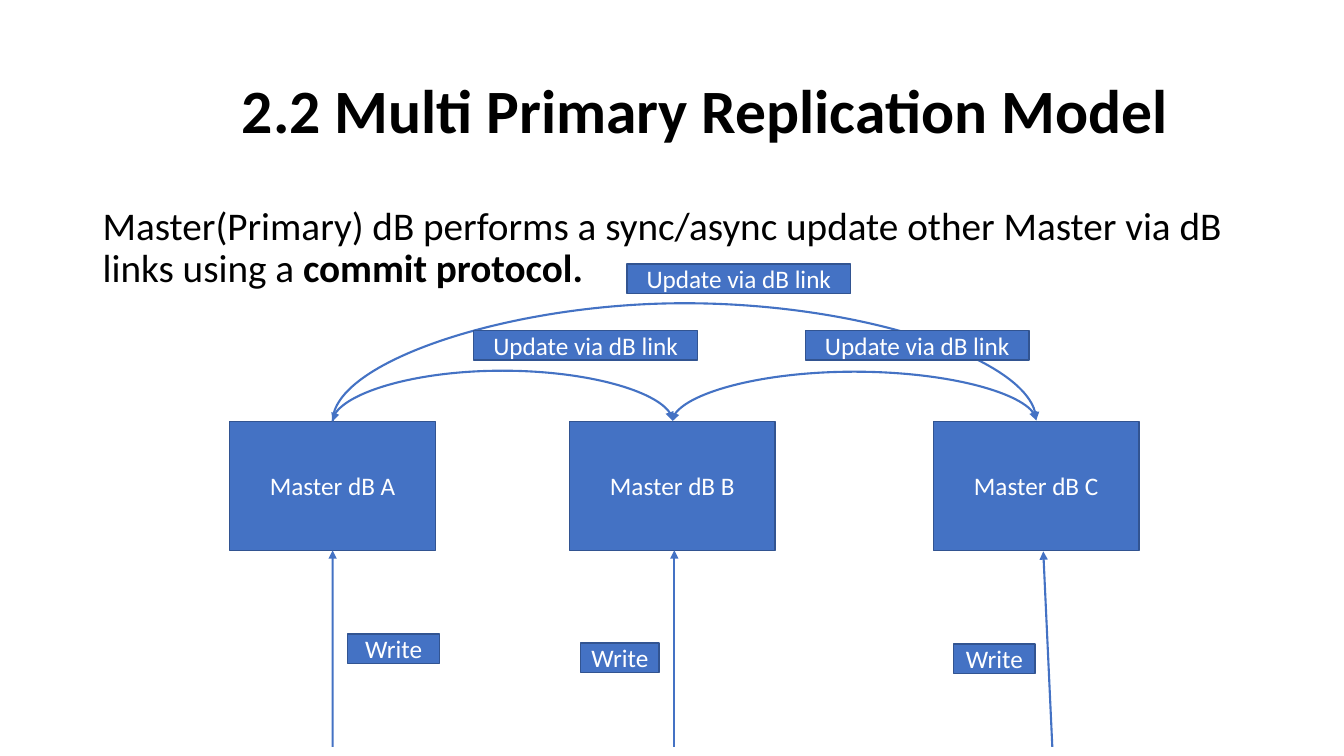
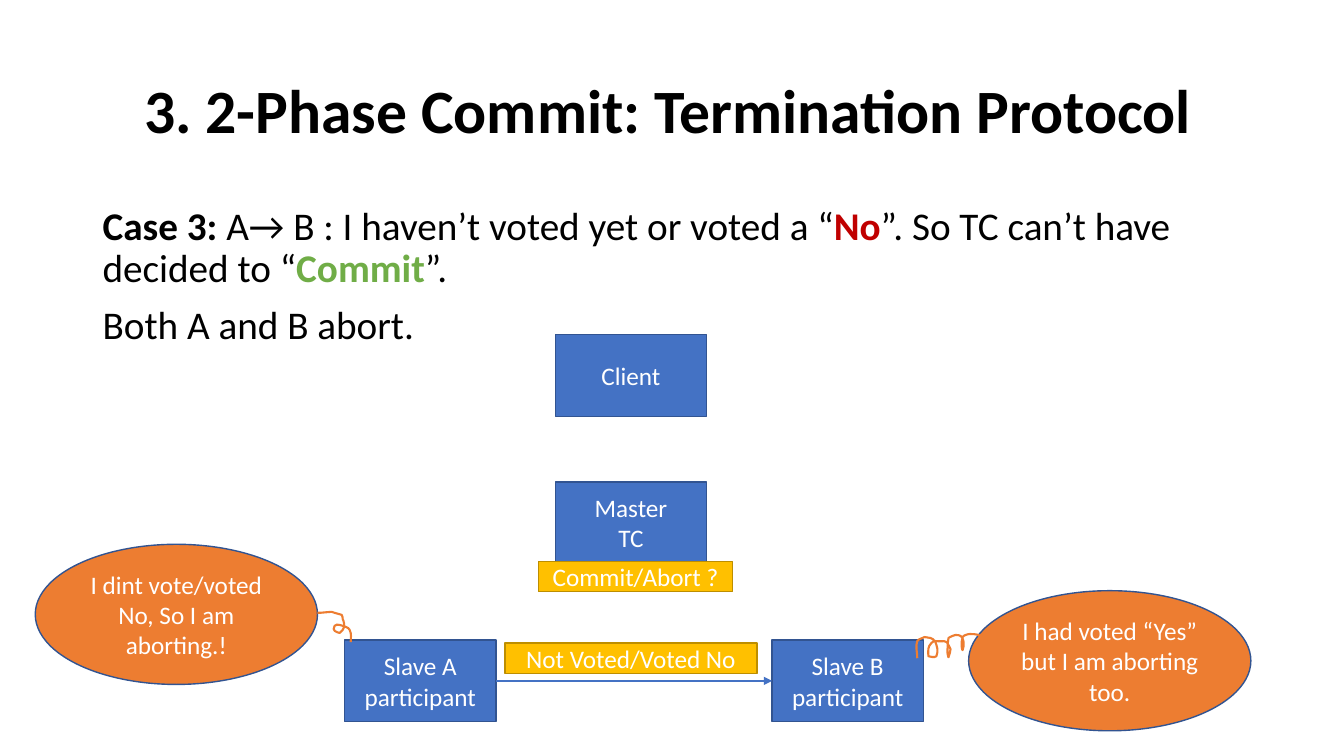
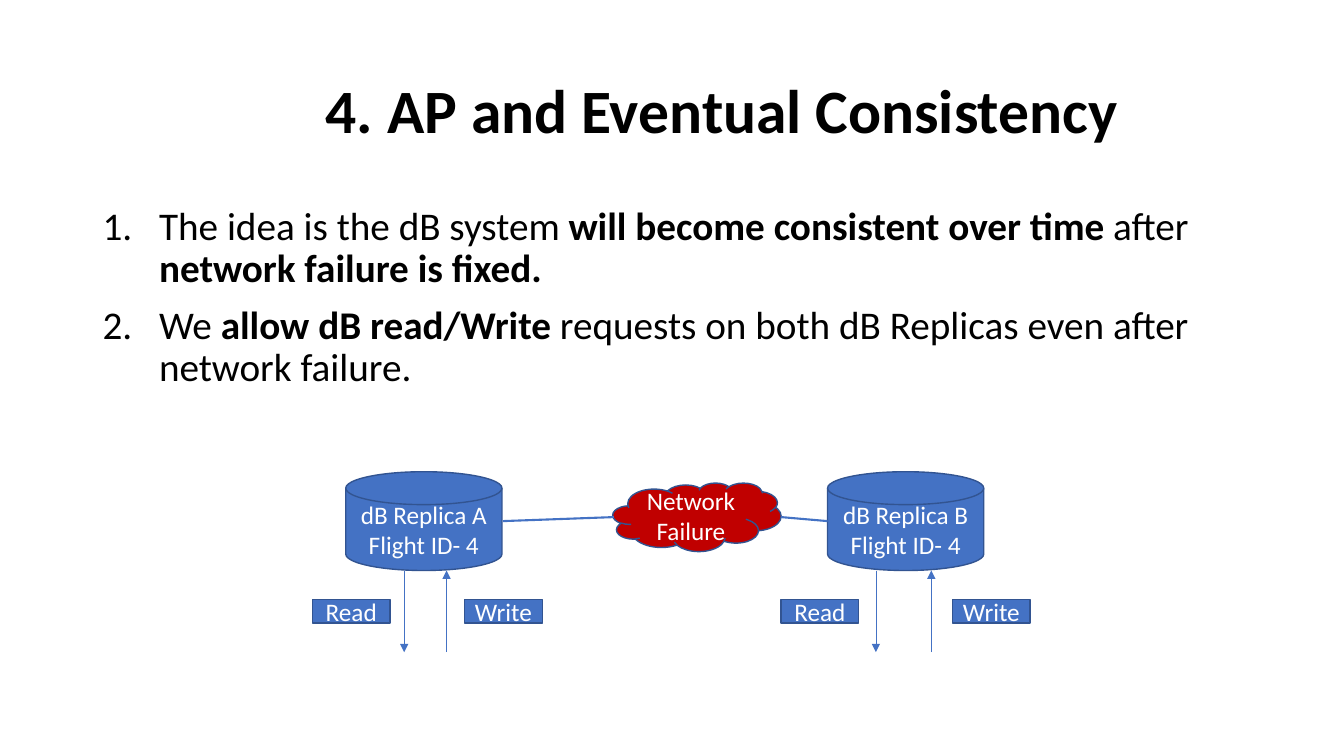
from dataclasses import dataclass
from typing import Optional, Sequence

from lxml import etree
from pptx import Presentation
from pptx.dml.color import RGBColor
from pptx.enum.shapes import MSO_CONNECTOR, MSO_SHAPE
from pptx.enum.text import MSO_ANCHOR, MSO_AUTO_SIZE, PP_ALIGN
from pptx.oxml.ns import qn
from pptx.shapes.autoshape import Shape
from pptx.shapes.connector import Connector
from pptx.slide import Slide
from pptx.text.text import TextFrame
from pptx.util import Inches, Pt

BLACK = RGBColor(0x00, 0x00, 0x00)
WHITE = RGBColor(0xFF, 0xFF, 0xFF)
BLUE = RGBColor(0x44, 0x72, 0xC4)
DARK_BLUE = RGBColor(0x32, 0x54, 0x91)
GOLD = RGBColor(0xFF, 0xC0, 0x00)
DARK_GOLD = RGBColor(0xBD, 0x8E, 0x00)
ORANGE = RGBColor(0xED, 0x7D, 0x31)
RED = RGBColor(0xC0, 0x00, 0x00)
GREEN = RGBColor(0x70, 0xAD, 0x47)

FONT = "Calibri"
LEFT, CENTER = PP_ALIGN.LEFT, PP_ALIGN.CENTER
MIDDLE, TOP = MSO_ANCHOR.MIDDLE, MSO_ANCHOR.TOP
RECT, ELLIPSE, CLOUD = MSO_SHAPE.RECTANGLE, MSO_SHAPE.OVAL, MSO_SHAPE.CLOUD
DISK = MSO_SHAPE.FLOWCHART_MAGNETIC_DISK
STRAIGHT, CURVE = MSO_CONNECTOR.STRAIGHT, MSO_CONNECTOR.CURVE
TOP_SIDE, LEFT_SIDE, BOTTOM_SIDE, RIGHT_SIDE = range(4)
TITLE_ONLY = 5
CURVE_DEPTH = 0.01


@dataclass(frozen=True)
class Run:
    text: str
    bold: bool = False
    color: Optional[RGBColor] = None


@dataclass(frozen=True)
class Box:
    text: str
    left: float
    top: float
    width: float
    height: float
    fill: RGBColor = BLUE
    outline: RGBColor = DARK_BLUE
    kind: MSO_SHAPE = RECT


@dataclass(frozen=True)
class Link:
    start: tuple[float, float]
    end: tuple[float, float]
    weight: float = 1.5
    head: bool = False
    tail: bool = True


Paragraphs = Sequence[Sequence[Run]]
Points = Sequence[tuple[float, float]]

# Each curl is a start point followed by two handles and an end per segment.
CURL_A: Points = (
    (3.48, 6.37),
    (3.48, 6.33), (3.49, 6.29), (3.47, 6.25),
    (3.46, 6.22), (3.40, 6.21), (3.37, 6.20),
    (3.35, 6.20), (3.33, 6.19), (3.32, 6.21),
    (3.29, 6.26), (3.34, 6.27), (3.37, 6.28),
    (3.38, 6.27), (3.39, 6.26), (3.40, 6.25),
    (3.43, 6.22), (3.41, 6.16), (3.40, 6.14),
    (3.40, 6.13), (3.40, 6.11), (3.39, 6.10),
    (3.37, 6.09), (3.34, 6.09), (3.32, 6.08),
    (3.32, 6.08), (3.29, 6.07), (3.29, 6.07),
    (3.16, 6.08), (3.20, 6.08), (3.15, 6.08),
)
CURL_B: Points = (
    (9.10, 6.53),
    (9.10, 6.47), (9.08, 6.41), (9.10, 6.36),
    (9.11, 6.34), (9.16, 6.33), (9.17, 6.32),
    (9.22, 6.33), (9.25, 6.32), (9.28, 6.37),
    (9.29, 6.39), (9.30, 6.44), (9.30, 6.44),
    (9.30, 6.46), (9.30, 6.49), (9.29, 6.51),
    (9.27, 6.53), (9.22, 6.51), (9.21, 6.51),
    (9.21, 6.45), (9.20, 6.42), (9.24, 6.38),
    (9.25, 6.37), (9.26, 6.36), (9.28, 6.36),
    (9.37, 6.37), (9.38, 6.34), (9.41, 6.40),
    (9.42, 6.41), (9.42, 6.43), (9.43, 6.44),
    (9.42, 6.46), (9.43, 6.49), (9.41, 6.52),
    (9.41, 6.53), (9.40, 6.49), (9.40, 6.48),
    (9.40, 6.43), (9.40, 6.38), (9.41, 6.33),
    (9.42, 6.32), (9.47, 6.30), (9.48, 6.30),
    (9.50, 6.30), (9.52, 6.30), (9.53, 6.31),
    (9.55, 6.32), (9.56, 6.36), (9.56, 6.38),
    (9.56, 6.40), (9.56, 6.43), (9.55, 6.45),
    (9.55, 6.46), (9.54, 6.43), (9.54, 6.41),
    (9.54, 6.38), (9.54, 6.35), (9.55, 6.32),
    (9.56, 6.30), (9.61, 6.29), (9.62, 6.29),
    (9.65, 6.29), (9.68, 6.29), (9.71, 6.30),
    (9.72, 6.30), (9.72, 6.32), (9.72, 6.33),
    (9.73, 6.34), (9.74, 6.35), (9.75, 6.36),
)


def write_text(frame: TextFrame, paragraphs: Paragraphs, *, size: float,
               color: RGBColor = BLACK, align: PP_ALIGN = LEFT,
               anchor: MSO_ANCHOR = TOP, line_spacing: float = 1.0,
               space_before: float = 0, indent: float = 0,
               numbered: bool = False) -> None:
    frame.word_wrap = True
    frame.auto_size = MSO_AUTO_SIZE.NONE
    frame.vertical_anchor = anchor
    for index, runs in enumerate(paragraphs):
        paragraph = frame.add_paragraph() if index else frame.paragraphs[0]
        paragraph.alignment = align
        paragraph.line_spacing = line_spacing
        paragraph.space_before = Pt(space_before)
        properties = paragraph._p.get_or_add_pPr()
        properties.set("marL", str(Inches(indent)))
        properties.set("indent", str(-Inches(indent) if numbered else 0))
        if numbered:
            etree.SubElement(properties, qn("a:buAutoNum"), type="arabicPeriod")
        for part in runs:
            run = paragraph.add_run()
            run.text = part.text
            run.font.name = FONT
            run.font.size = Pt(size)
            run.font.bold = part.bold
            run.font.color.rgb = part.color or color


def add_titled_slide(deck: Presentation, title: str, title_indent: float,
                     body: Paragraphs, numbered: bool = False) -> Slide:
    slide = deck.slides.add_slide(deck.slide_layouts[TITLE_ONLY])
    heading = slide.shapes.title
    heading.left, heading.top = Inches(0.92), Inches(0.4)
    heading.width, heading.height = Inches(11.5), Inches(1.45)
    write_text(heading.text_frame, [[Run(title, bold=True)]], size=44,
               anchor=MIDDLE, line_spacing=0.9, indent=title_indent)
    content = slide.shapes.add_textbox(Inches(0.92), Inches(2),
                                       Inches(11.5), Inches(4.76))
    write_text(content.text_frame, body, size=28, line_spacing=0.9,
               space_before=10, indent=0.56 if numbered else 0,
               numbered=numbered)
    return slide


def add_box(slide: Slide, box: Box) -> Shape:
    shape = slide.shapes.add_shape(box.kind, Inches(box.left), Inches(box.top),
                                   Inches(box.width), Inches(box.height))
    shape.shadow.inherit = False
    shape.fill.solid()
    shape.fill.fore_color.rgb = box.fill
    shape.line.color.rgb = box.outline
    shape.line.width = Pt(1)
    write_text(shape.text_frame, [[Run(line)] for line in box.text.split("\n")],
               size=18, color=WHITE, align=CENTER, anchor=MIDDLE)
    return shape


def style_connector(connector: Connector, weight: float, head: bool,
                    tail: bool) -> None:
    connector.line.color.rgb = BLUE
    connector.line.width = Pt(weight)
    outline = connector.line._get_or_add_ln()
    for tag, wanted in (("a:headEnd", head), ("a:tailEnd", tail)):
        if wanted:
            etree.SubElement(outline, qn(tag), type="triangle")
    etree.SubElement(connector._element.spPr, qn("a:effectLst"))


def add_link(slide: Slide, link: Link) -> Connector:
    connector = slide.shapes.add_connector(
        STRAIGHT, *(Inches(value) for value in link.start + link.end))
    style_connector(connector, link.weight, link.head, link.tail)
    return connector


def add_arc(slide: Slide, start: Shape, end: Shape, rise: float,
            head: bool = True) -> None:
    """Curve from one box's top to another's, its handles rise inches above."""
    start_x = start.left + start.width // 2
    end_x = end.left + end.width // 2
    arc = slide.shapes.add_connector(CURVE, start_x, start.top, end_x, end.top)
    arc.begin_connect(start, TOP_SIDE)
    arc.end_connect(end, TOP_SIDE)
    # The frame is a thin upright strip that a quarter turn lays flat.
    span, depth = end_x - start_x, Inches(CURVE_DEPTH)
    arc.width, arc.height = depth, span
    arc.left = (start_x + end_x - depth) // 2
    arc.top = start.top - (span + depth) // 2
    properties = arc._element.spPr
    frame = properties.find(qn("a:xfrm"))
    for name, value in (("rot", "5400000"), ("flipH", "1"), ("flipV", "1")):
        frame.set(name, value)
    geometry = properties.find(qn("a:prstGeom"))
    adjustments = geometry.find(qn("a:avLst"))
    if adjustments is None:
        adjustments = etree.SubElement(geometry, qn("a:avLst"))
    etree.SubElement(adjustments, qn("a:gd"), name="adj1",
                     fmla=f"val {round(rise / CURVE_DEPTH * 100000)}")
    style_connector(arc, 1.5, head, True)


def add_curl(slide: Slide, points: Points) -> None:
    """Draw a chain of cubic curves as one open outline."""
    corners = [(Inches(x), Inches(y)) for x, y in points]
    builder = slide.shapes.build_freeform(*corners[0])
    builder.add_line_segments(corners[3::3], close=False)
    curl = builder.convert_to_shape()
    # Bend each straight segment by putting its two handles before its end.
    segments = list(curl._element.spPr.iter(qn("a:lnTo")))
    for index, segment in enumerate(segments):
        segment.tag = qn("a:cubicBezTo")
        handles = corners[3 * index + 1:3 * index + 3]
        for position, (x, y) in enumerate(handles):
            handle = etree.Element(qn("a:pt"), x=str(x - curl.left),
                                   y=str(y - curl.top))
            segment.insert(position, handle)
    curl.shadow.inherit = False
    curl.fill.background()
    curl.line.color.rgb = ORANGE
    curl.line.width = Pt(1.5)


def build_multi_primary(deck: Presentation) -> None:
    slide = add_titled_slide(deck, "2.2 Multi Primary Replication Model", 1.38, [[
        Run("Master(Primary) dB performs a sync/async update other Master "
            "via dB links using a "),
        Run("commit protocol.", bold=True),
    ]])
    master_a, master_b, master_c = (
        add_box(slide, Box(f"Master dB {letter}", left, 4.18, 2.04, 1.28))
        for letter, left in (("A", 2.28), ("B", 5.65), ("C", 9.26)))

    add_link(slide, Link((6.69, 7.41), (6.69, 5.46)))
    add_link(slide, Link((10.44, 7.41), (10.35, 5.47)))
    write_a = add_link(slide, Link((3.3, 7.41), (3.3, 5.46)))
    write_a.end_connect(master_a, BOTTOM_SIDE)
    for left, top, width in ((3.45, 6.29, 0.91), (9.46, 6.39, 0.81),
                             (5.76, 6.38, 0.78)):
        add_box(slide, Box("Write", left, top, width, 0.29))

    add_arc(slide, master_a, master_c, 1.19, head=False)
    for left, top in ((6.22, 2.62), (4.7, 3.28), (7.99, 3.28)):
        add_box(slide, Box("Update via dB link", left, top, 2.22, 0.29))
    add_arc(slide, master_b, master_c, 0.5)
    add_arc(slide, master_a, master_b, 0.51)


def build_termination(deck: Presentation) -> None:
    slide = add_titled_slide(deck, "3. 2-Phase Commit: Termination Protocol", 0.41, [
        [
            Run("Case 3:", bold=True),
            Run(" A→ B : I haven’t voted yet or voted a “"),
            Run("No", bold=True, color=RED),
            Run("”. So TC can’t have decided to “"),
            Run("Commit", bold=True, color=GREEN),
            Run("”."),
        ],
        [Run("Both A and B abort.")],
    ])
    _, slave_a, slave_b = (
        add_box(slide, Box(text, left, top, 1.5, 0.81))
        for text, left, top in (("Master\nTC", 5.51, 4.78),
                                ("Slave A\nparticipant", 3.42, 6.35),
                                ("Slave B\nparticipant", 7.66, 6.35)))
    add_box(slide, Box("Commit/Abort ?", 5.34, 5.57, 1.93, 0.3, GOLD, DARK_GOLD))
    add_box(slide, Box("I had voted “Yes” but I am aborting too.",
                       9.61, 5.86, 2.8, 1.39, ORANGE, kind=ELLIPSE))
    add_curl(slide, CURL_B)

    vote = add_link(slide, Link((4.92, 6.76), (7.66, 6.76)))
    vote.begin_connect(slave_a, RIGHT_SIDE)
    vote.end_connect(slave_b, LEFT_SIDE)
    add_box(slide, Box("Not Voted/Voted No", 5.01, 6.38, 2.5, 0.3, GOLD, DARK_GOLD))
    add_box(slide, Box("Client", 5.51, 3.32, 1.5, 0.81))
    add_box(slide, Box("I dint vote/voted No, So I am aborting.!",
                       0.35, 5.4, 2.8, 1.39, ORANGE, kind=ELLIPSE))
    add_curl(slide, CURL_A)


def build_eventual_consistency(deck: Presentation) -> None:
    slide = add_titled_slide(deck, "4. AP and Eventual Consistency", 2.21, [
        [
            Run("The idea is the dB system "),
            Run("will become consistent over time ", bold=True),
            Run("after "),
            Run("network failure is fixed.", bold=True),
        ],
        [
            Run("We "),
            Run("allow dB read/Write", bold=True),
            Run(" requests on both dB Replicas even after network failure."),
        ],
    ], numbered=True)
    for letter, left, read_x, write_x, read_left, write_left in (
            ("A", 3.43, 4.01, 4.43, 3.1, 4.61),
            ("B", 8.21, 8.69, 9.24, 7.75, 9.45)):
        add_box(slide, Box(f"dB Replica {letter}\nFlight ID- 4",
                           left, 4.68, 1.55, 0.98, kind=DISK))
        add_link(slide, Link((read_x, 5.66), (read_x, 6.47), weight=0.5))
        add_link(slide, Link((write_x, 6.47), (write_x, 5.66), weight=0.5))
        add_box(slide, Box("Read", read_left, 5.95, 0.77, 0.23))
        add_box(slide, Box("Write", write_left, 5.95, 0.77, 0.23))
    add_box(slide, Box("Network Failure", 6.08, 4.79, 1.67, 0.68, RED, kind=CLOUD))
    add_link(slide, Link((4.99, 5.17), (6.09, 5.13), tail=False))
    add_link(slide, Link((7.75, 5.13), (8.21, 5.17), tail=False))


def main() -> None:
    deck = Presentation()
    deck.slide_width, deck.slide_height = Inches(40 / 3), Inches(7.5)
    build_multi_primary(deck)
    build_termination(deck)
    build_eventual_consistency(deck)
    deck.save("out.pptx")


if __name__ == "__main__":
    main()
